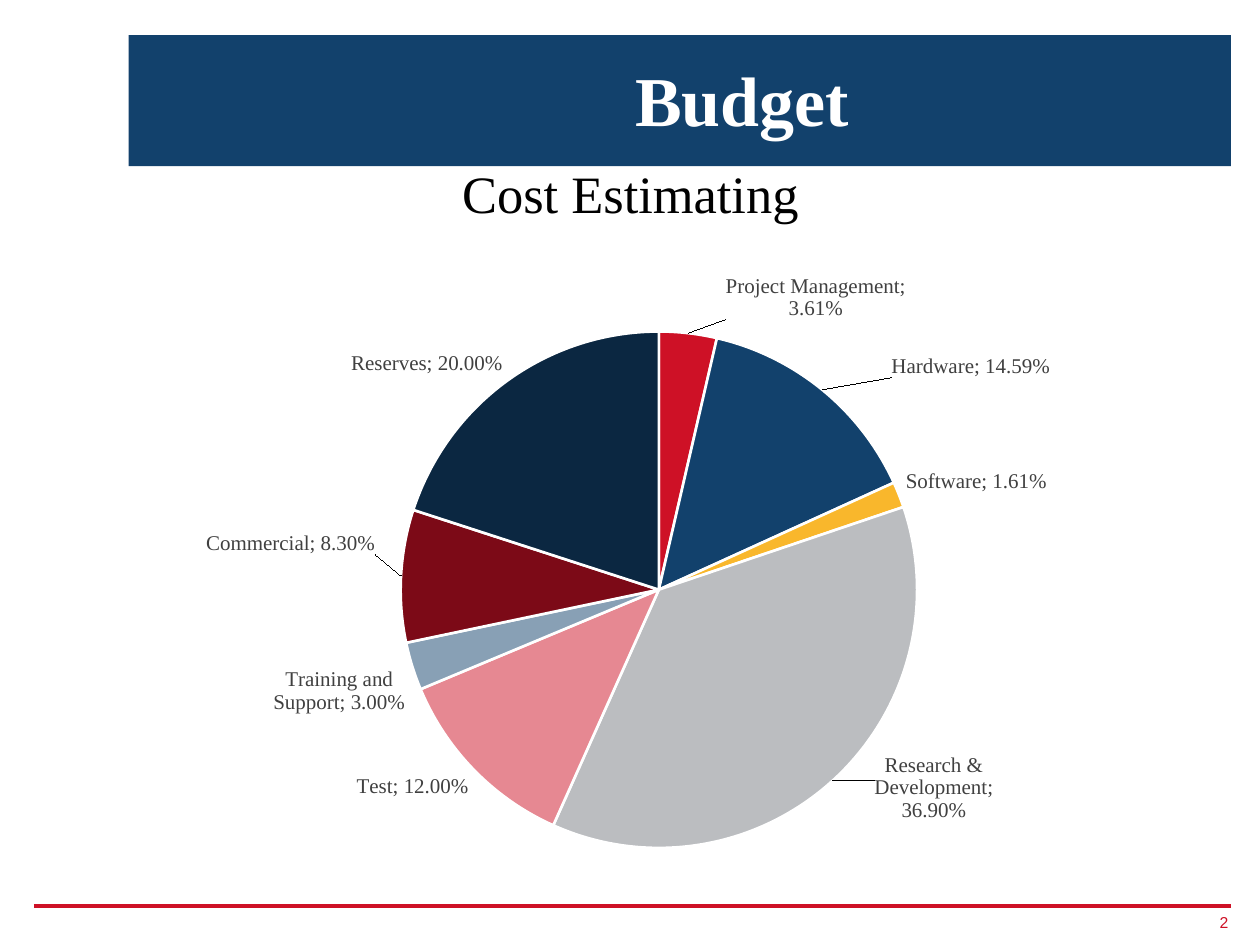
"""Build the budget slide with its cost estimating pie chart."""
from copy import deepcopy

from lxml import etree
from pptx import Presentation
from pptx.chart.data import CategoryChartData
from pptx.dml.color import RGBColor
from pptx.enum.chart import XL_CHART_TYPE, XL_LABEL_POSITION
from pptx.enum.shapes import MSO_CONNECTOR, MSO_SHAPE
from pptx.enum.text import MSO_ANCHOR, PP_ALIGN
from pptx.oxml import parse_xml
from pptx.oxml.ns import nsdecls, qn
from pptx.util import Inches, Pt

PIE = XL_CHART_TYPE.PIE
OUT_END = XL_LABEL_POSITION.OUTSIDE_END
LINE, RECT = MSO_CONNECTOR.STRAIGHT, MSO_SHAPE.RECTANGLE
MIDDLE, BOTTOM = MSO_ANCHOR.MIDDLE, MSO_ANCHOR.BOTTOM
CENTER, RIGHT = PP_ALIGN.CENTER, PP_ALIGN.RIGHT

WHITE = RGBColor(0xFF, 0xFF, 0xFF)
BLACK = RGBColor(0x00, 0x00, 0x00)
DARK_GREY = RGBColor(0x40, 0x40, 0x40)
GREY = RGBColor(0xBB, 0xBD, 0xC0)
RED = RGBColor(0xCE, 0x11, 0x26)
BLUE = RGBColor(0x12, 0x41, 0x6C)
GOLD = RGBColor(0xF9, 0xB7, 0x2C)
PINK = RGBColor(0xE6, 0x88, 0x92)
LIGHT_BLUE = RGBColor(0x88, 0xA0, 0xB5)
MAROON = RGBColor(0x7C, 0x0A, 0x17)
NAVY = RGBColor(0x0B, 0x27, 0x41)
SERIF, SANS = "Times New Roman", "Arial"

prs = Presentation()
prs.slide_width, prs.slide_height = Inches(10), Inches(7.5)
COL, ROW = prs.slide_width / 100, prs.slide_height / 100
s = prs.slides.add_slide(prs.slide_layouts[6])


def grid(x, y, w, h):
    return int(x * COL), int(y * ROW), int(w * COL), int(h * ROW)


def manual_layout(x, y, size=""):
    return parse_xml(
        f'<c:layout {nsdecls("c")}><c:manualLayout>{size and "<c:layoutTarget val=%r/>" % "inner"}'
        f'{size and "<c:xMode val=%r/><c:yMode val=%r/>" % ("edge", "edge")}'
        f'<c:x val="{x}"/><c:y val="{y}"/>{size}</c:manualLayout></c:layout>')


sp = s.shapes.add_shape(RECT, *grid(10.2, 3.73, 87.5, 13.87))
sp.shadow.inherit = False
sp.fill.solid()
sp.fill.fore_color.rgb = BLUE
sp.line.fill.background()

x, y, w, _ = grid(2.7, 95.87, 95, 0)
rule = s.shapes.add_connector(LINE, x, y, x + w, y)
rule.line.color.rgb = RED
rule.line.width = Pt(2.25)
etree.SubElement(rule._element.spPr, qn("a:effectLst"))

NO_INSETS = dict.fromkeys(("margin_left", "margin_right", "margin_top", "margin_bottom"), 0)
TEXTS = [
    ("Budget", (20.3, 6.27, 77.2, 9.2), {"vertical_anchor": BOTTOM},
     {"alignment": CENTER, "line_spacing": Pt(25)},
     {"size": Pt(40), "name": SERIF, "bold": True}, WHITE),
    ("2", (94.8, 96, 2.7, 3.07), {"vertical_anchor": MIDDLE, **NO_INSETS},
     {"alignment": RIGHT}, {"size": Pt(9), "name": SANS}, RED),
    ("Cost Estimating", (2.7, 18.53, 94.7, 7.07), {"vertical_anchor": MIDDLE, **NO_INSETS},
     {"alignment": CENTER, "line_spacing": Pt(18)}, {"size": Pt(30), "name": SERIF}, BLACK),
]
for text, place, frame, para, font, color in TEXTS:
    tf = s.shapes.add_textbox(*grid(*place)).text_frame
    p = tf.paragraphs[0]
    r = p.add_run()
    r.text = text
    r.font.color.rgb = color
    for obj, formats in ((tf, {"word_wrap": True, **frame}), (p, para), (r.font, font)):
        for key, value in formats.items():
            setattr(obj, key, value)

COSTS = [
    ("Project Management", 0.0361, RED, (0.04, -0.01)),
    ("Hardware", 0.1459, BLUE, (0.07, -0.01)),
    ("Software", 0.0161, GOLD, None),
    ("Research & Development", 0.369, GREY, (0.04, -0.05)),
    ("Test", 0.12, PINK, None),
    ("Training and Support", 0.03, LIGHT_BLUE, None),
    ("Commercial", 0.083, MAROON, (-0.02, -0.05)),
    ("Reserves", 0.2, NAVY, None),
]
data = CategoryChartData(number_format="0.00%")
data.categories = [name for name, *_ in COSTS]
data.add_series("Series 1", [cost[1] for cost in COSTS])
chart = s.shapes.add_chart(PIE, *grid(13.5, 27.33, 73.2, 68.13), data).chart
chart.has_legend = chart.has_title = False
chart.font.size, chart.font.name, chart.font.color.rgb = Pt(12), SERIF, BLACK
plot = chart.plots[0]
plot.vary_by_categories = True
series = plot.series[0]

area = chart._chartSpace.chart.plotArea
for old in area.findall(qn("c:layout")):
    area.remove(old)
area.insert(0, manual_layout(0.25, 0.11, '<c:w val="0.56"/><c:h val="0.81"/>'))

labels = series.data_labels
LABEL_FORMAT = {"show_value": True, "show_category_name": True, "show_percentage": False,
                "number_format": "0.00%", "number_format_is_linked": False, "position": OUT_END}
for key, value in LABEL_FORMAT.items():
    setattr(labels, key, value)
labels.font.size, labels.font.name, labels.font.color.rgb = Pt(12), SERIF, DARK_GREY
d_lbls = labels._element
separator = etree.Element(qn("c:separator"))
separator.text = "; "
d_lbls.find(qn("c:showBubbleSize")).addnext(separator)
shared = [el for el in d_lbls if el.tag != qn("c:showLeaderLines")]

moved = 0
for i, (_, _, color, shift) in enumerate(COSTS):
    fmt = series.points[i].format
    fmt.fill.solid()
    fmt.fill.fore_color.rgb = color
    fmt.line.color.rgb = WHITE
    fmt.line.width = Pt(1.5)
    if shift:
        d_lbl = etree.Element(qn("c:dLbl"))
        etree.SubElement(d_lbl, qn("c:idx"), val=str(i))
        d_lbl.append(manual_layout(*shift))
        d_lbl.extend(deepcopy(shared))
        d_lbls.insert(moved, d_lbl)
        moved += 1

prs.save("out.pptx")
